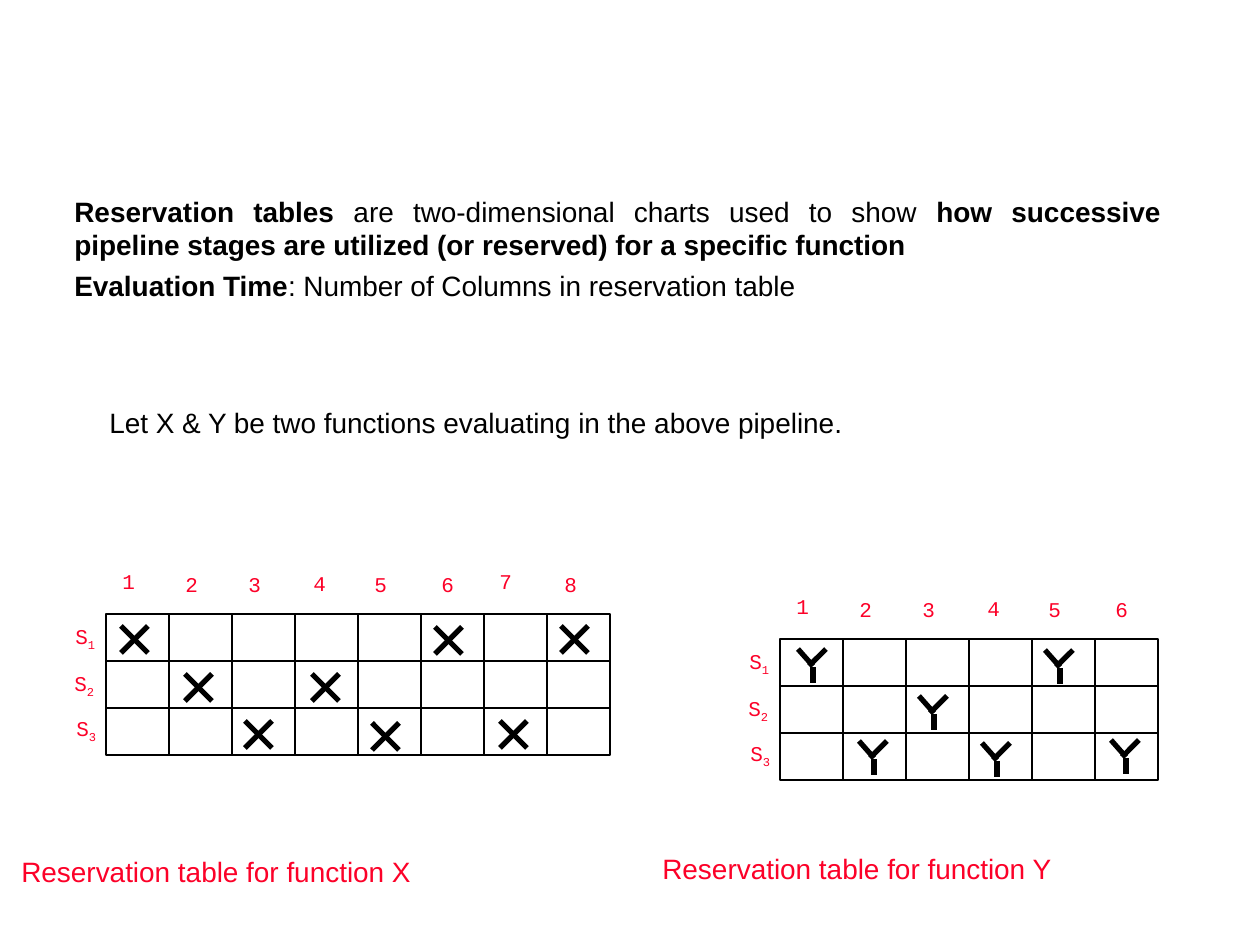
from pptx import Presentation
from pptx.dml.color import RGBColor
from pptx.enum.shapes import MSO_CONNECTOR as CONN, MSO_SHAPE as SHAPE
from pptx.enum.text import MSO_AUTO_SIZE as AUTO, PP_ALIGN as ALIGN
from pptx.oxml.ns import qn
from pptx.util import Emu, Pt
from lxml.etree import SubElement

COLORS = {"ink": "000000", "red": "FC0128"}
SCALE = 914400 / 126

INTRO = [
    [("Reservation tables ", True),
     ("are two-dimensional charts used to show ", False),
     ("how successive pipeline stages are utilized (or reserved) for a specific function", True)],
    [("Evaluation Time", True),
     (": Number of Columns in reservation table", False)],
]
PREMISE = [[("Let X & Y be two functions evaluating in the above pipeline.", False)]]
CAPTIONS = [
    ("Reservation table for function X", 9, 848),
    ("Reservation table for function Y", 650, 845),
]
STROKES = {
    "X": [(0, 0, 27, 27), (27, 0, 0, 27)],
    "Y": [(15, 18, 15, 34), (0, 0, 15, 17), (28, 0, 11, 17)],
}
TABLES = [
    {"mark": "X", "left": 106, "top": 614, "columns": 8,
     "marks": [(121, 626), (435, 627), (561, 626), (185, 674), (312, 674),
               (245, 721), (372, 723), (500, 721)]},
    {"mark": "Y", "left": 780, "top": 639, "columns": 6,
     "marks": [(798, 649), (1045, 650), (919, 696), (859, 741), (982, 743),
               (1111, 740)]},
]
CELL_W, CELL_H = 63, 47
STAGE_OFFSETS = [(-43, 3), (-44, 50), (-42, 95)]
TIME_OFFSETS = [(4, -52), (67, -49), (130, -49), (195, -50),
                (256, -49), (323, -49), (381, -52), (446, -49)]


def px(*values):
    return [Emu(round(v * SCALE)) for v in values]


def color(name):
    return RGBColor.from_string(COLORS[name])


def add_run(p, text, size, font, ink, bold=False):
    r = p.add_run()
    r.text = text
    r.font.size, r.font.name, r.font.bold = Pt(size), font, bold
    r.font.color.rgb = color(ink)
    return r


def add_text(shapes, box, paragraphs, ink, before, align=None):
    tf = shapes.add_textbox(*px(*box)).text_frame
    tf.word_wrap = True
    tf.auto_size = AUTO.SHAPE_TO_FIT_TEXT
    for i, runs in enumerate(paragraphs):
        p = tf.add_paragraph() if i else tf.paragraphs[0]
        p.space_before, p.alignment = Pt(before), align
        for text, bold in runs:
            add_run(p, text, 16, "Arial", ink, bold)


def add_label(shapes, left, top, text, subscript=""):
    tf = shapes.add_textbox(*px(left, top, 52, 42)).text_frame
    tf.word_wrap = True
    p = tf.paragraphs[0]
    p.space_before = Pt(7.5)
    add_run(p, text, 12, "Courier New", "red")
    if subscript:
        r = add_run(p, subscript, 12, "Courier New", "red")
        r.font._element.set("baseline", "-25000")


def add_cell(shapes, left, top):
    sp = shapes.add_shape(SHAPE.RECTANGLE, *px(left, top, CELL_W, CELL_H))
    sp.shadow.inherit = False
    sp.fill.background()
    sp.line.color.rgb = color("ink")
    sp.line.width = Pt(0.75)


def add_stroke(shapes, *ends):
    line = shapes.add_connector(CONN.STRAIGHT, *px(*ends))
    line.line.color.rgb = color("ink")
    line.line.width = Pt(3)
    SubElement(line._element.spPr, qn("a:effectLst"))


def add_reservation_table(slide, table):
    shapes = slide.shapes.add_group_shape().shapes
    left, top, columns = table["left"], table["top"], table["columns"]
    for row in range(len(STAGE_OFFSETS)):
        for col in range(columns):
            add_cell(shapes, left + col * CELL_W, top + row * CELL_H)
    for stage, (dx, dy) in enumerate(STAGE_OFFSETS, 1):
        add_label(shapes, left + dx, top + dy, "S", str(stage))
    for time, (dx, dy) in enumerate(TIME_OFFSETS[:columns], 1):
        add_label(shapes, left + dx, top + dy, str(time))
    for x, y in table["marks"]:
        for x1, y1, x2, y2 in STROKES[table["mark"]]:
            add_stroke(shapes, x + x1, y + y1, x + x2, y + y2)


def main():
    prs = Presentation()
    prs.slide_width, prs.slide_height = px(1260, 945)
    slide = prs.slides.add_slide(prs.slide_layouts[6])
    add_text(slide.shapes, (62, 188, 1111, 121), INTRO, "ink", 4, ALIGN.JUSTIFY)
    for text, left, top in CAPTIONS:
        add_text(slide.shapes, (left, top, 682, 47), [[(text, False)]], "red", 10)
    for table in TABLES:
        add_reservation_table(slide, table)
    add_text(slide.shapes, (97, 399, 1018, 47), PREMISE, "ink", 10, ALIGN.JUSTIFY)
    prs.save("out.pptx")


if __name__ == "__main__":
    main()
